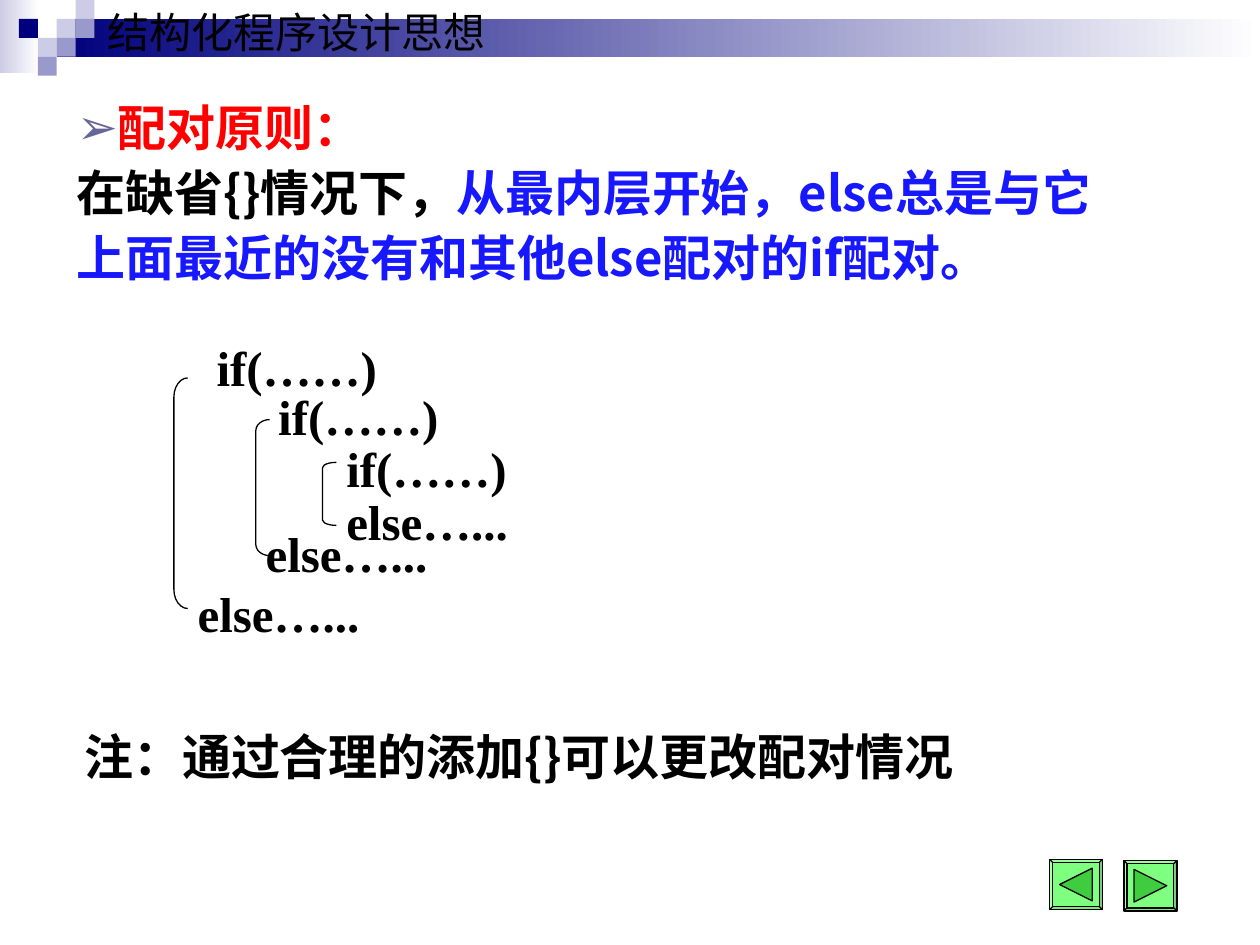
from lxml import etree
from pptx import Presentation
from pptx.dml.color import RGBColor
from pptx.enum.shapes import MSO_SHAPE as Kind
from pptx.enum.text import MSO_ANCHOR as Anchor, MSO_AUTO_SIZE as Fit, PP_ALIGN as Align
from pptx.oxml.ns import qn
from pptx.util import Inches, Pt

NAVY = RGBColor(0x00, 0x00, 0x7D)
PALE = RGBColor(0xCC, 0xCC, 0xE6)
LILAC = RGBColor(0x99, 0x99, 0xCC)
WHITE = RGBColor(0xFF, 0xFF, 0xFF)
BLACK = RGBColor(0x00, 0x00, 0x00)
RED = RGBColor(0xFF, 0x00, 0x00)
BLUE = RGBColor(0x18, 0x18, 0xFF)
SLATE = RGBColor(0x66, 0x66, 0x99)
LIME = RGBColor(0x00, 0xFF, 0x00)
GREEN = RGBColor(0x40, 0xCC, 0x40)
SANS, SERIF = "Noto Sans CJK SC", "Times New Roman"

deck = Presentation()
deck.slide_width, deck.slide_height = Inches(10), Inches(7.5)
UNIT = deck.slide_width // 100  # a grid of 100 columns and 75 rows
slide = deck.slides.add_slide(deck.slide_layouts[1])
shapes = slide.shapes


def draw(kind, col, row, wide, high, fill=None, line=None):
    shape = shapes.add_shape(kind, *(round(n * UNIT) for n in (col, row, wide, high)))
    shape.shadow.inherit = False
    if fill is None:
        shape.fill.background()
    else:
        shape.fill.solid()
        shape.fill.fore_color.rgb = fill
    if line is None:
        shape.line.fill.background()
    else:
        shape.line.color.rgb = line
        shape.line.width = Pt(0.75)
    return shape


def write(par, text, color, face=SANS, size=28, bold=True):
    run = par.add_run()
    run.text = text
    font = run.font
    font.name, font.size, font.bold = face, Pt(size), bold
    font.color.rgb = color
    etree.SubElement(font._element, qn("a:ea"), typeface=SANS)


# Header band and its squares
for col, row, wide, high, hue in [(0, 0, 3.1, 5.8, PALE), (4.5, 1.5, 95.5, 3, NAVY)]:
    fill = draw(Kind.RECTANGLE, col, row, wide, high).fill
    fill.gradient()
    fill.gradient_angle = 0
    for stop, tone in zip(fill.gradient_stops, (hue, WHITE)):
        stop.color.rgb = tone

STEP = 1.5
for col, row, hue in [(3, 1, PALE), (4, 0, PALE), (4, 1, LILAC), (2, 2, PALE),
                      (1, 1, NAVY), (3, 2, LILAC), (2, 3, LILAC)]:
    draw(Kind.RECTANGLE, col * STEP, row * STEP, STEP, STEP, hue)

# Title and rule, brought in front of the band
title, body = shapes.title, slide.placeholders[1]
for holder, (col, row, wide, high) in [(title, (7.5, 0, 34, 5)),
                                       (body, (5.1, 6.8, 86, 21.1))]:
    holder.left, holder.top = round(col * UNIT), round(row * UNIT)
    holder.width, holder.height = round(wide * UNIT), round(high * UNIT)
    holder.text_frame.auto_size = Fit.NONE
    holder.text_frame.vertical_anchor = Anchor.TOP
    shapes._spTree.append(holder._element)

head = title.text_frame.paragraphs[0]
head.alignment = Align.LEFT
write(head, "结构化程序设计思想", BLACK, SERIF, 24, False)

rule = body.text_frame.paragraphs[0]
text = body.text_frame.add_paragraph()
for par in (rule, text):
    props = par._p.get_or_add_pPr()
    props.set("marL", "0")
    props.set("indent", "0")
    if par is rule:
        tint = etree.SubElement(props, qn("a:buClr"))
        etree.SubElement(tint, qn("a:srgbClr"), val=str(SLATE))
        etree.SubElement(props, qn("a:buChar"), char="➢")
    else:
        etree.SubElement(props, qn("a:buNone"))
    par.line_spacing = 1.1
    par.space_before = Pt(0)
write(rule, "配对原则：", RED)
write(text, "在缺省{}情况下，", BLACK)
write(text, "从最内层开始，else总是与它上面最近的没有和其他else配对的if配对。", BLUE)

# Nested code and the closing note
IF, ELSE = "if(……)", "else…..."
for col, row, wide, words, face in [
        (16.2, 26.3, 14.7, IF, SERIF), (21.1, 30.2, 14.7, IF, SERIF),
        (26.5, 34.3, 14.7, IF, SERIF), (26.5, 38.5, 14.8, ELSE, SERIF),
        (20.1, 41, 14.8, ELSE, SERIF), (14.7, 45.8, 14.8, ELSE, SERIF),
        (5.7, 57.2, 72.8, "注：通过合理的添加{}可以更改配对情况", SANS)]:
    box = shapes.add_textbox(*(round(n * UNIT) for n in (col, row, wide, 5.7)))
    frame = box.text_frame
    frame.word_wrap = False
    par = frame.paragraphs[0]
    if face == SERIF:
        frame.vertical_anchor = Anchor.MIDDLE
        par.alignment = Align.CENTER
    write(par, words, BLACK, face)

# Brackets that pair each if with its else
WIDE = 1.1
for col, row, high in [(25.6, 36.7, 5), (20.3, 33.3, 10.8), (13.8, 30, 18.3)]:
    mark = draw(Kind.LEFT_BRACKET, col, row, WIDE, high, line=BLACK)
    mark.adjustments[0] = high / WIDE / 12

# Back and next buttons
for col, row, turn in [(89.2, 68.3, 90), (83.3, 68.2, -90)]:
    key = draw(Kind.BEVEL, col, row, 4.2, 4, LIME, BLACK)
    key.adjustments[0] = 0.06
    shade = key.fill._xPr.find(".//" + qn("a:srgbClr"))
    etree.SubElement(shade, qn("a:alpha"), val="50000")
    draw(Kind.ISOSCELES_TRIANGLE, col + 0.8, row + 0.7, 2.6, 2.6, GREEN, BLACK).rotation = turn

deck.save("out.pptx")
